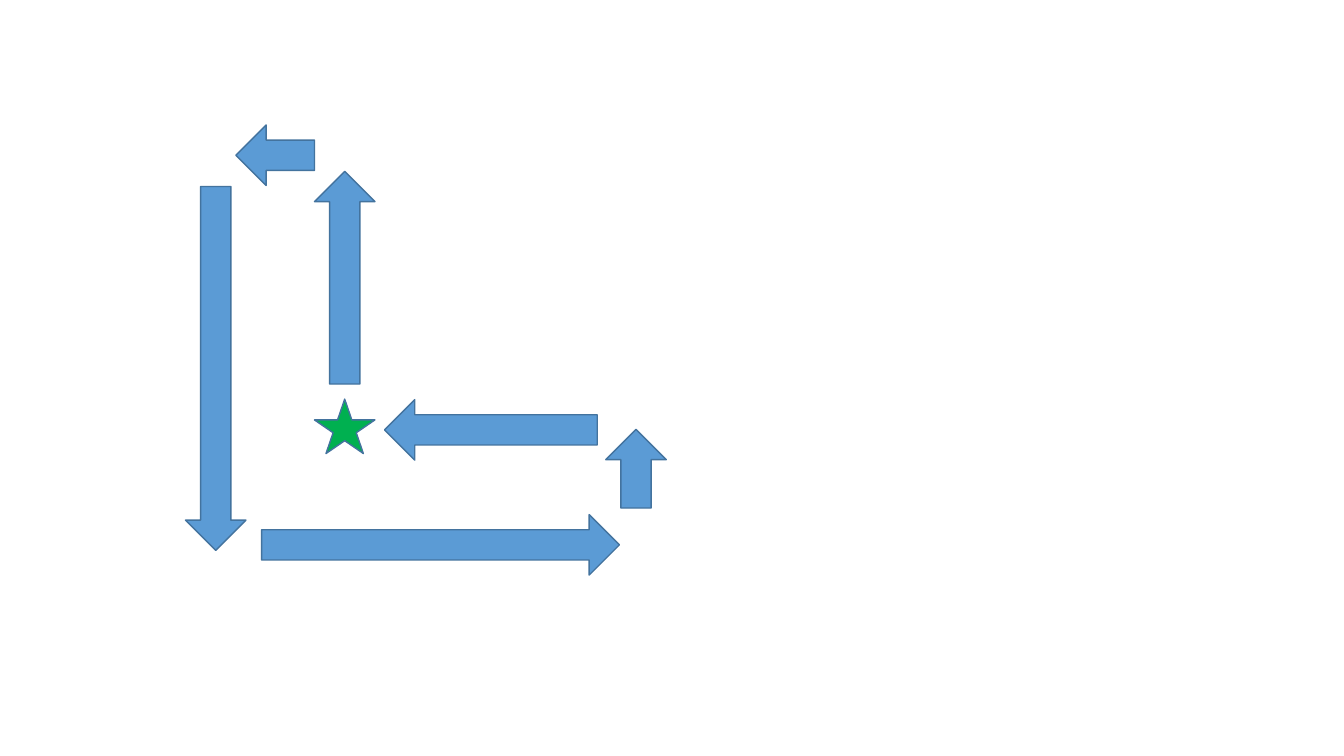
from pptx import Presentation
from pptx.dml.color import RGBColor as RGB
from pptx.enum.shapes import MSO_SHAPE as Kind
from pptx.util import Pt

HUES = {"arrow": "5B9BD5", "star": "00B050", "edge": "43739E"}
TURNS = {"down": 0, "left": 90, "up": 180, "right": 270}
WIDE = 43.2
ROUTE = [
    ("up", 246.24, 198.36, 151.92),
    ("left", 196.56, 110.88, 56.16),
    ("down", 154.08, 263.16, 259.92),
    ("right", 314.64, 389.16, 255.6),
    ("up", 454.32, 334.8, 56.16),
    ("left", 350.64, 307.08, 151.92),
]


class Board:
    """Draws styled shapes, placed by their centres, on one slide."""

    def __init__(self, slide):
        self.slide = slide

    def shape(self, kind, x, y, high, hue):
        item = self.slide.shapes.add_shape(
            kind, Pt(x - WIDE / 2), Pt(y - high / 2), Pt(WIDE), Pt(high))
        item.shadow.inherit = False
        item.fill.solid()
        item.fill.fore_color.rgb = RGB.from_string(HUES[hue])
        item.line.color.rgb = RGB.from_string(HUES["edge"])
        item.line.width = Pt(1)
        return item

    def star(self, x, y, high):
        self.shape(Kind.STAR_5_POINT, x, y, high, "star")

    def arrow(self, way, x, y, long):
        item = self.shape(Kind.DOWN_ARROW, x, y, long, "arrow")
        item.rotation = TURNS[way]


def main():
    deck = Presentation()
    deck.slide_width, deck.slide_height = Pt(960), Pt(540)
    board = Board(deck.slides.add_slide(deck.slide_layouts[6]))
    board.star(246.24, 304.56, 38.88)
    for leg in ROUTE:
        board.arrow(*leg)
    deck.save("out.pptx")


if __name__ == "__main__":
    main()
